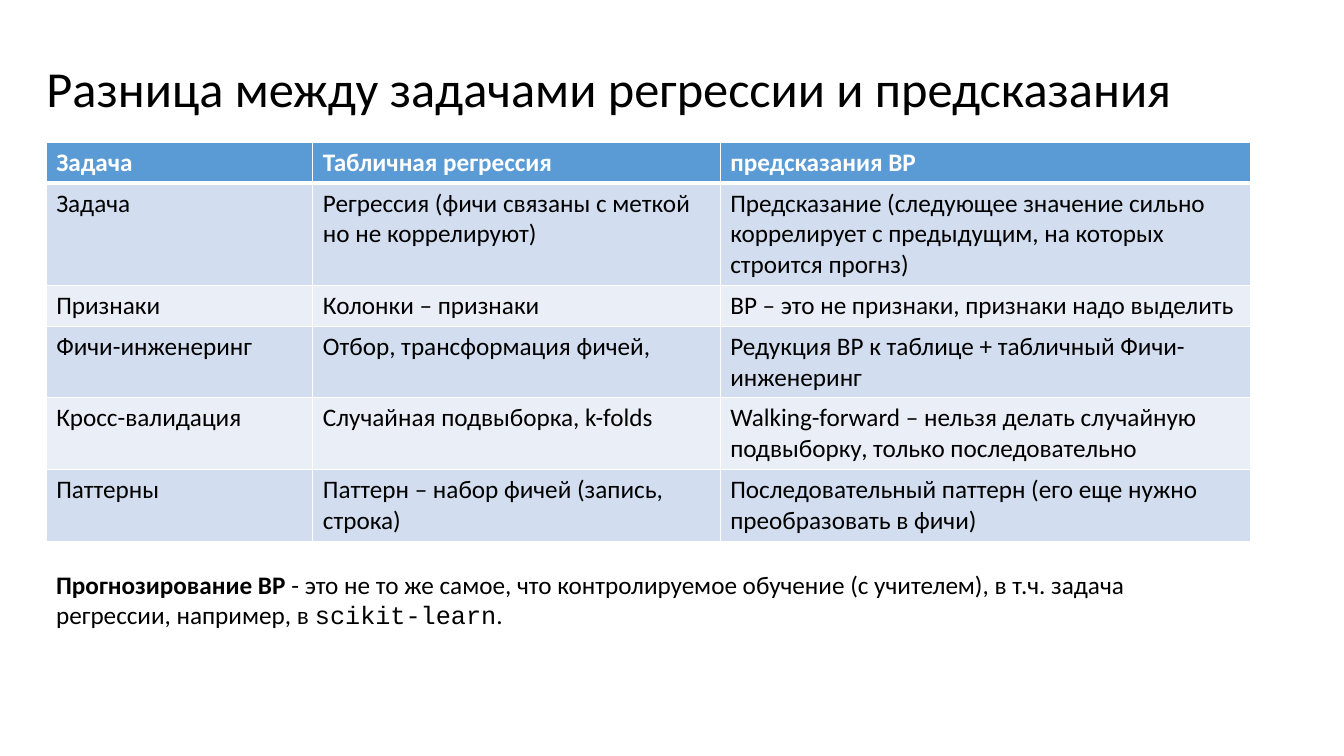
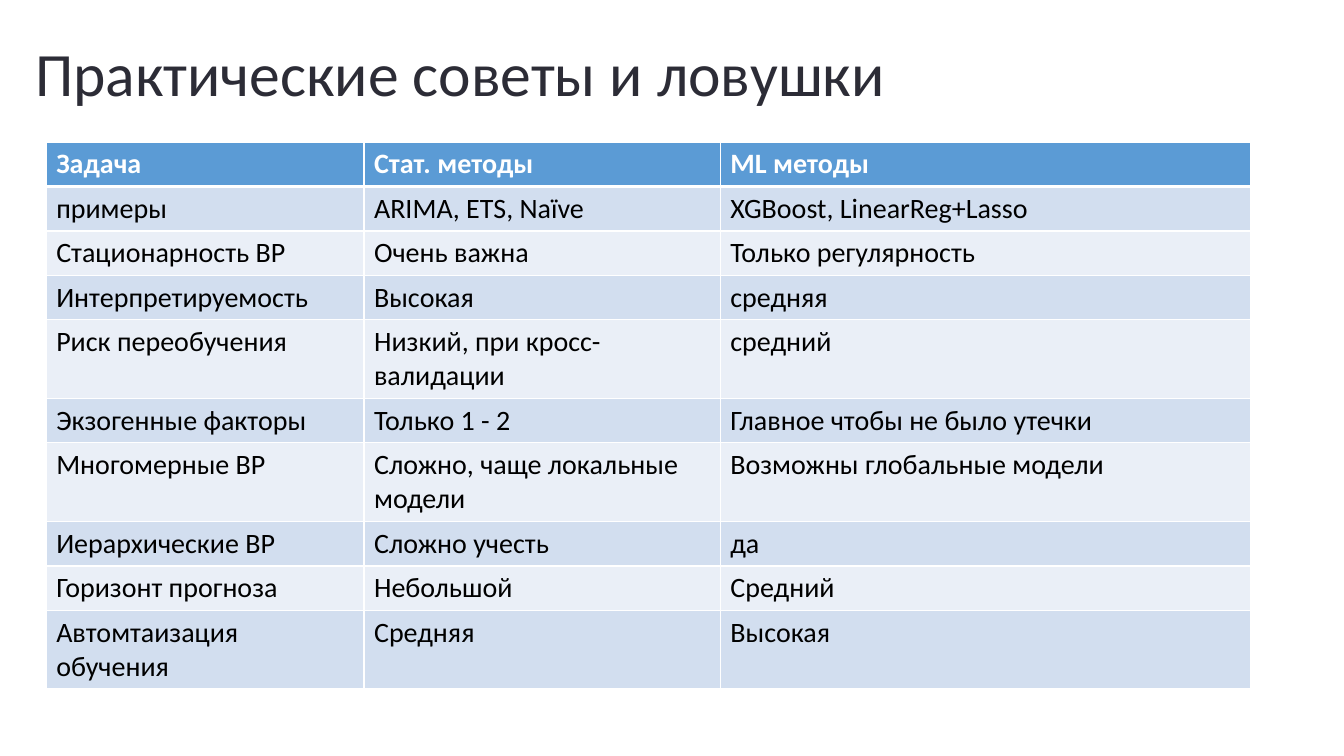
import dataclasses

import lxml.etree
import pptx
import pptx.dml.color
import pptx.enum.text
import pptx.oxml.ns
import pptx.util

Pt = pptx.util.Pt
qn = pptx.oxml.ns.qn

# Shared style
COLORS = {
    "text": "000000",
    "dark": "2C2C36",
    "white": "FFFFFF",
    "header": "5B9BD5",
    "band_dark": "D2DEEF",
    "band_light": "EAEFF7",
}
FONT = "Calibri"
CODE_FONT = "Courier New"
TITLE_ONLY = 5
TABLE_LEFT, TABLE_TOP = 33, 101.5
LINE_HEIGHT = 1.22      # line height of the font, in font sizes
CELL_PADDING = 7.2      # top and bottom cell margins together
THIN, THICK = 1, 3


@dataclasses.dataclass(frozen=True)
class Box:
    left: float
    top: float
    width: float
    height: float


@dataclasses.dataclass(frozen=True)
class Title:
    text: str
    box: Box
    size: float
    color: str


@dataclasses.dataclass(frozen=True)
class Row:
    cells: tuple[str, str, str]
    lines: int = 1


@dataclasses.dataclass(frozen=True)
class Table:
    widths: tuple[float, float, float]
    size: float
    rows: tuple[Row, ...]


@dataclasses.dataclass(frozen=True)
class Span:
    text: str
    font: str = FONT
    bold: bool = False


def rgb(name: str) -> pptx.dml.color.RGBColor:
    return pptx.dml.color.RGBColor.from_string(COLORS[name])


def set_font(font, size: float, color: str) -> None:
    font.size = Pt(size)
    font.color.rgb = rgb(color)


def place(sp, box: Box) -> None:
    sp.left, sp.top = Pt(box.left), Pt(box.top)
    sp.width, sp.height = Pt(box.width), Pt(box.height)


def add_title_slide(prs, title: Title):
    slide = prs.slides.add_slide(prs.slide_layouts[TITLE_ONLY])
    sp = slide.shapes.title
    place(sp, title.box)
    tf = sp.text_frame
    tf.text = title.text
    tf.word_wrap = True
    tf.auto_size = pptx.enum.text.MSO_AUTO_SIZE.NONE
    tf.vertical_anchor = pptx.enum.text.MSO_ANCHOR.MIDDLE
    p = tf.paragraphs[0]
    p.alignment = pptx.enum.text.PP_ALIGN.LEFT
    p.line_spacing = 0.9
    p.font.name = FONT
    set_font(p.font, title.size, title.color)
    return slide


def add_borders(cell, top: float, bottom: float) -> None:
    tc_pr = cell._tc.get_or_add_tcPr()
    sides = {"a:lnL": THIN, "a:lnR": THIN, "a:lnT": top, "a:lnB": bottom}
    for tag, width in sides.items():
        ln = lxml.etree.SubElement(tc_pr, qn(tag), w=str(int(Pt(width))))
        fill = lxml.etree.SubElement(ln, qn("a:solidFill"))
        lxml.etree.SubElement(fill, qn("a:srgbClr"), val=COLORS["white"])


def format_cell(cell, text: str, row: int, size: float) -> None:
    is_header = row == 0
    add_borders(cell, THICK if row == 1 else THIN, THICK if is_header else THIN)
    band = "band_dark" if row % 2 else "band_light"
    cell.fill.solid()
    cell.fill.fore_color.rgb = rgb("header" if is_header else band)
    cell.text = text
    p = cell.text_frame.paragraphs[0]
    p.font.name = FONT
    p.font.bold = is_header
    set_font(p.font, size, "white" if is_header else "text")


def add_table(slide, table: Table) -> None:
    heights = [row.lines * table.size * LINE_HEIGHT + CELL_PADDING
               for row in table.rows]
    frame = slide.shapes.add_table(
        len(table.rows), len(table.widths), Pt(TABLE_LEFT), Pt(TABLE_TOP),
        Pt(sum(table.widths)), Pt(sum(heights)))
    grid = frame.table
    for column, width in zip(grid.columns, table.widths):
        column.width = Pt(width)
    for i, (row, height) in enumerate(zip(table.rows, heights)):
        grid.rows[i].height = Pt(height)
        for j, text in enumerate(row.cells):
            format_cell(grid.cell(i, j), text, i, table.size)


def add_note(slide, box: Box, size: float, spans: tuple[Span, ...]) -> None:
    sp = slide.shapes.add_textbox(Pt(box.left), Pt(box.top),
                                  Pt(box.width), Pt(box.height))
    tf = sp.text_frame
    tf.word_wrap = True
    p = tf.paragraphs[0]
    set_font(p.font, size, "text")
    for span in spans:
        r = p.add_run()
        r.text = span.text
        r.font.name = span.font
        r.font.bold = span.bold


# Slide 1: regression versus forecasting
REGRESSION_TITLE = Title("Разница между задачами регрессии и предсказания",
                         Box(26, 29, 868, 72.5), 36, "text")
REGRESSION_TABLE = Table((190.5, 291, 379), 18, (
    Row(("Задача", "Табличная регрессия", "предсказания ВР")),
    Row(("Задача", "Регрессия (фичи связаны с меткой но не коррелируют)",
         "Предсказание (следующее значение сильно коррелирует с предыдущим, "
         "на которых строится прогнз)"), 3),
    Row(("Признаки", "Колонки – признаки",
         "ВР – это не признаки, признаки надо выделить")),
    Row(("Фичи-инженеринг", "Отбор, трансформация фичей,",
         "Редукция ВР к таблице + табличный Фичи-инженеринг"), 2),
    Row(("Кросс-валидация", "Случайная подвыборка, k-folds",
         "Walking-forward – нельзя делать случайную подвыборку, "
         "только последовательно"), 2),
    Row(("Паттерны", "Паттерн – набор фичей (запись, строка)",
         "Последовательный паттерн (его еще нужно преобразовать в фичи)"), 2),
))
FORECAST_NOTE = (
    Span("Прогнозирование ВР", bold=True),
    Span(" - это не то же самое, что контролируемое обучение (с учителем), "
         "в т.ч. задача регрессии, например, в "),
    Span("scikit-learn", font=CODE_FONT),
    Span("."),
)

# Slide 2: practical advice
ADVICE_TITLE = Title("Практические советы и ловушки",
                     Box(18, 21, 877, 67.5), 44, "dark")
ADVICE_TABLE = Table((227, 254.5, 379), 20, (
    Row(("Задача", "Стат. методы", "ML методы")),
    Row(("примеры", "ARIMA, ETS, Naïve", "XGBoost, LinearReg+Lasso")),
    Row(("Стационарность ВР", "Очень важна", "Только регулярность")),
    Row(("Интерпретируемость", "Высокая", "средняя")),
    Row(("Риск переобучения", "Низкий, при кросс-валидации", "средний"), 2),
    Row(("Экзогенные факторы", "Только 1 - 2", "Главное чтобы не было утечки")),
    Row(("Многомерные ВР", "Сложно, чаще локальные модели",
         "Возможны глобальные модели"), 2),
    Row(("Иерархические ВР", "Сложно учесть", "да")),
    Row(("Горизонт прогноза", "Небольшой", "Средний")),
    Row(("Автомтаизация обучения", "Средняя", "Высокая"), 2),
))


def main() -> None:
    prs = pptx.Presentation()
    prs.slide_width, prs.slide_height = Pt(960), Pt(540)

    slide = add_title_slide(prs, REGRESSION_TITLE)
    add_table(slide, REGRESSION_TABLE)
    add_note(slide, Box(33, 403, 843, 51), 18, FORECAST_NOTE)

    slide = add_title_slide(prs, ADVICE_TITLE)
    add_table(slide, ADVICE_TABLE)

    prs.save("out.pptx")


if __name__ == "__main__":
    main()
